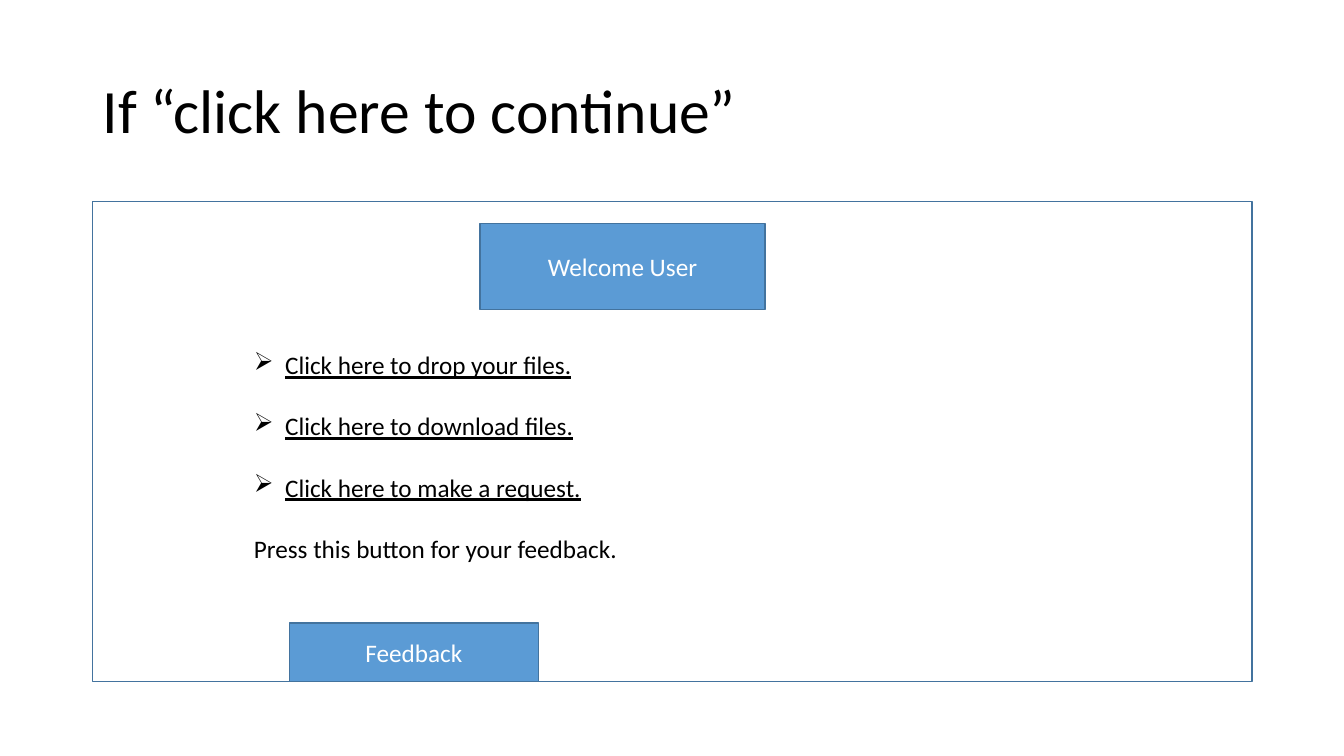
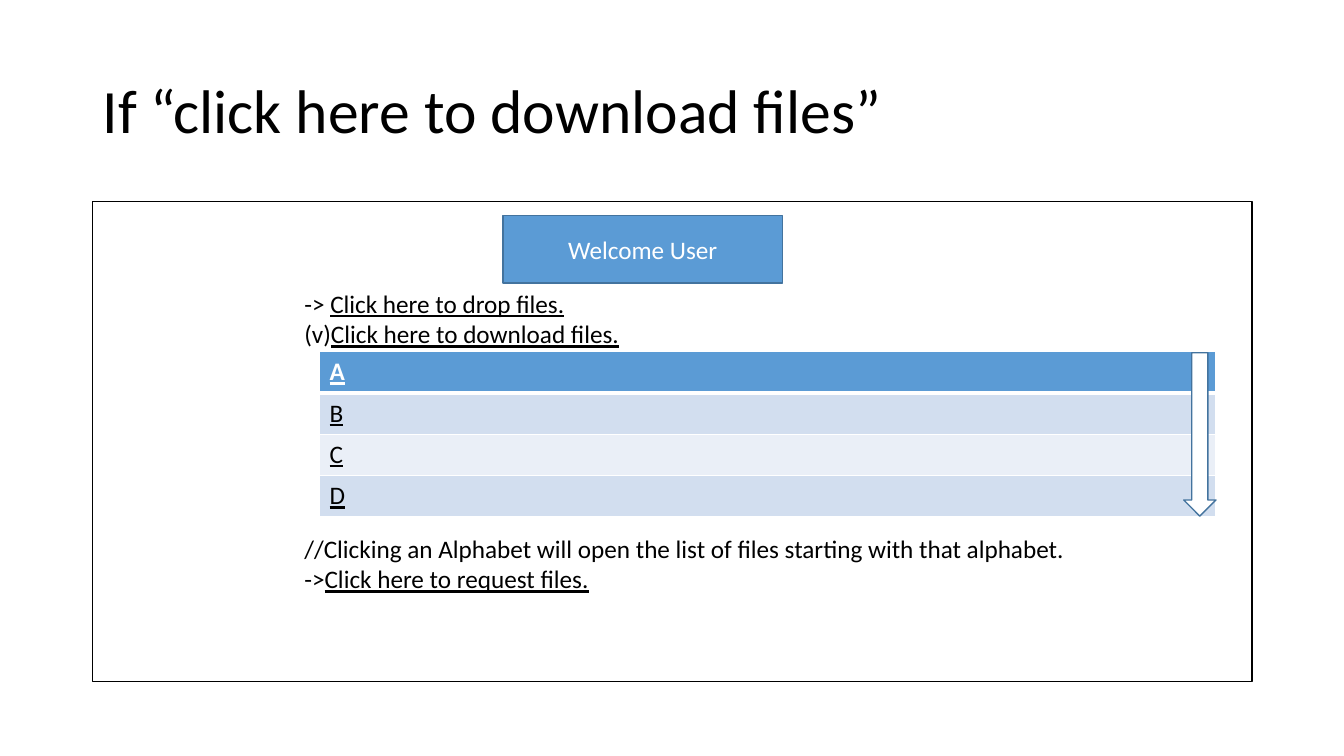
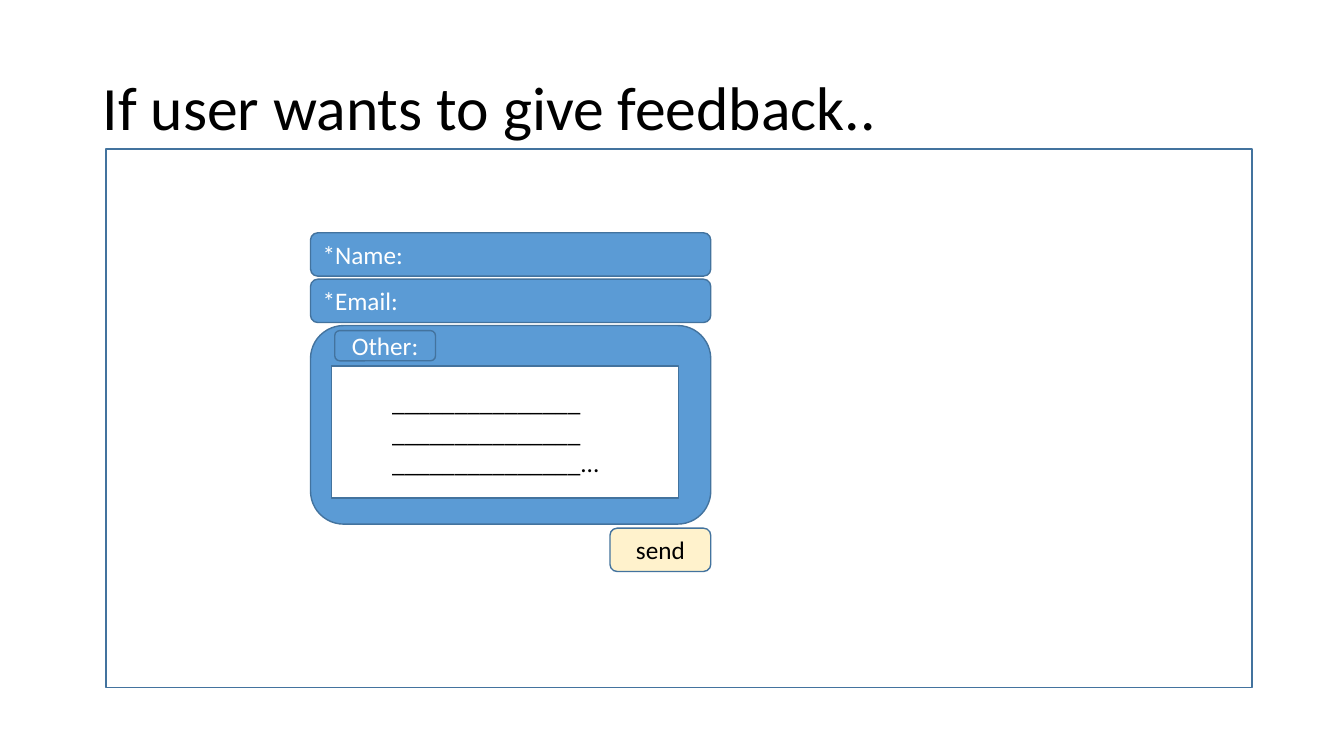
from lxml import etree
from pptx import Presentation
from pptx.dml.color import RGBColor
from pptx.enum.shapes import MSO_SHAPE
from pptx.enum.text import MSO_ANCHOR, PP_ALIGN
from pptx.oxml.ns import qn
from pptx.util import Inches, Pt

RECT, ROUND, DOWN = MSO_SHAPE.RECTANGLE, MSO_SHAPE.ROUNDED_RECTANGLE, MSO_SHAPE.DOWN_ARROW
TOP, MIDDLE = MSO_ANCHOR.TOP, MSO_ANCHOR.MIDDLE
LEFT, CENTER = PP_ALIGN.LEFT, PP_ALIGN.CENTER

COLORS = {
    "black": "000000", "white": "FFFFFF", "blue": "5B9BD5", "edge": "43739E",
    "cream": "FFF2CC", "band": "D2DEEF", "light": "EAEFF7",
}
FONT = "Calibri"
LINE = 22  # height in points of one line of body text
FRAME = (0.92, 2, 11.5, 4.76)


def rgb(name):
    return RGBColor.from_string(COLORS[name])


class Deck:
    def __init__(self):
        self.prs = Presentation()
        self.prs.slide_width, self.prs.slide_height = Inches(13.33), Inches(7.5)

    def slide(self):
        self.s = self.prs.slides.add_slide(self.prs.slide_layouts[6])

    def runs(self, p, parts, color, size=18, bold=False):
        """Add (text, underlined) parts to a paragraph."""
        for text, underline in parts:
            r = p.add_run()
            r.text = text
            r.font.name, r.font.size = FONT, Pt(size)
            r.font.bold, r.font.underline = bold, underline
            r.font.color.rgb = rgb(color)

    def title(self, text, top=0.4):
        sp = self.s.shapes.add_textbox(*map(Inches, (0.92, top, 11.5, 1.45)))
        tf = sp.text_frame
        tf.word_wrap, tf.vertical_anchor = True, MIDDLE
        p = tf.paragraphs[0]
        p.line_spacing = 0.9
        self.runs(p, [(text, False)], "black", 44)

    def shape(self, kind, at, fill="blue", line="edge"):
        sp = self.s.shapes.add_shape(kind, *map(Inches, at))
        sp.shadow.inherit = False
        sp.fill.solid()
        sp.fill.fore_color.rgb = rgb(fill)
        sp.line.color.rgb = rgb(line)
        sp.line.width = Pt(1)
        return sp

    def label(self, sp, paragraphs, color="black", align=LEFT, indent=0, top=None):
        """Fill a shape with (parts, space before, bullet) paragraphs."""
        tf = sp.text_frame
        tf.word_wrap, tf.vertical_anchor = True, MIDDLE
        if top is not None:
            tf.vertical_anchor, tf.margin_top = TOP, Inches(top)
        for i, (parts, before, bullet) in enumerate(paragraphs):
            p = tf.add_paragraph() if i else tf.paragraphs[0]
            p.alignment, p.space_before = align, Pt(before)
            hang = 0.31 if bullet else 0
            pPr = p._p.get_or_add_pPr()
            pPr.set("marL", str(Inches(indent + hang)))
            pPr.set("indent", str(Inches(-hang)))
            if bullet:
                etree.SubElement(pPr, qn("a:buChar")).set("char", bullet)
            self.runs(p, parts, color)

    def button(self, text, at, kind=RECT, fill="blue", color="white", align=CENTER):
        sp = self.shape(kind, at, fill)
        self.label(sp, [([(text, False)], 0, None)], color, align)

    def table(self, at, rows, height):
        """Single-column table of (text, fill) rows, the first a header."""
        left, top, width = at
        tbl = self.s.shapes.add_table(
            len(rows), 1, *map(Inches, (left, top, width, height * len(rows)))).table
        for i, (text, fill) in enumerate(rows):
            tbl.rows[i].height = Inches(height)
            cell = tbl.cell(i, 0)
            header = i == 0
            self.runs(cell.text_frame.paragraphs[0], [(text, True)],
                      "white" if header else "black", bold=header)
            tcPr = cell._tc.get_or_add_tcPr()
            for side in "LRTB":
                thick = (header and side == "B") or (i == 1 and side == "T")
                ln = etree.SubElement(tcPr, qn("a:ln" + side), w=str(Pt(3 if thick else 1)))
                solid = etree.SubElement(ln, qn("a:solidFill"))
                etree.SubElement(solid, qn("a:srgbClr"), val=COLORS["white"])
            cell.fill.solid()
            cell.fill.fore_color.rgb = rgb(fill)


deck = Deck()

# Slide 1: welcome page
deck.slide()
deck.title("If “click here to continue”")
frame = deck.shape(RECT, FRAME, "white")
links = ["Click here to drop your files.", "Click here to download files.",
         "Click here to make a request."]
menu = [([(link, True)], LINE if i else 0, "➢") for i, link in enumerate(links)]
menu.append(([("Press this button for your feedback.", False)], LINE, None))
deck.label(frame, menu, indent=1.5, top=1.47)
deck.button("Welcome User", (4.76, 2.22, 2.83, 0.85))
deck.button("Feedback", (2.87, 6.18, 2.47, 0.58))

# Slide 2: download list
deck.slide()
deck.title("If “click here to download files”")
frame = deck.shape(RECT, FRAME, "white", "black")
note = "//Clicking an Alphabet will open the list of files starting with that alphabet."
deck.label(frame, [
    ([("-> ", False), ("Click here to drop files.", True)], 0, None),
    ([("(v)", False), ("Click here to download files.", True)], 0, None),
    ([(note, False)], 6 * LINE, None),
    ([("->", False), ("Click here to request files.", True)], 0, None),
], indent=2, top=0.86)
deck.button("Welcome User", (4.99, 2.14, 2.77, 0.67))
deck.table((3.17, 3.49, 8.89),
           [("A", "blue"), ("B", "band"), ("C", "light"), ("D", "band")], 0.41)
deck.shape(DOWN, (11.74, 3.5, 0.32, 1.62), "white")

# Slide 3: feedback form
deck.slide()
deck.shape(RECT, (1.05, 1.48, 11.37, 5.34), "white")
for i, field in enumerate(["*Name:", "*Email:"]):
    deck.button(field, (3.08, 2.31 + 0.46 * i, 3.97, 0.43), ROUND, align=LEFT)
deck.shape(ROUND, (3.08, 3.23, 3.97, 1.97))
deck.button("Other:", (3.32, 3.28, 1, 0.3), ROUND)
answer = deck.shape(RECT, (3.29, 3.63, 3.44, 1.31), "white")
rule = "_" * 15
deck.label(answer, [([(text, False)], 0, None) for text in (rule, rule, rule + "...")],
           indent=0.5)
deck.title("If user wants to give feedback..", 0.37)
deck.button("send", (6.05, 5.24, 1, 0.43), ROUND, "cream", "black")

deck.prs.save("out.pptx")
